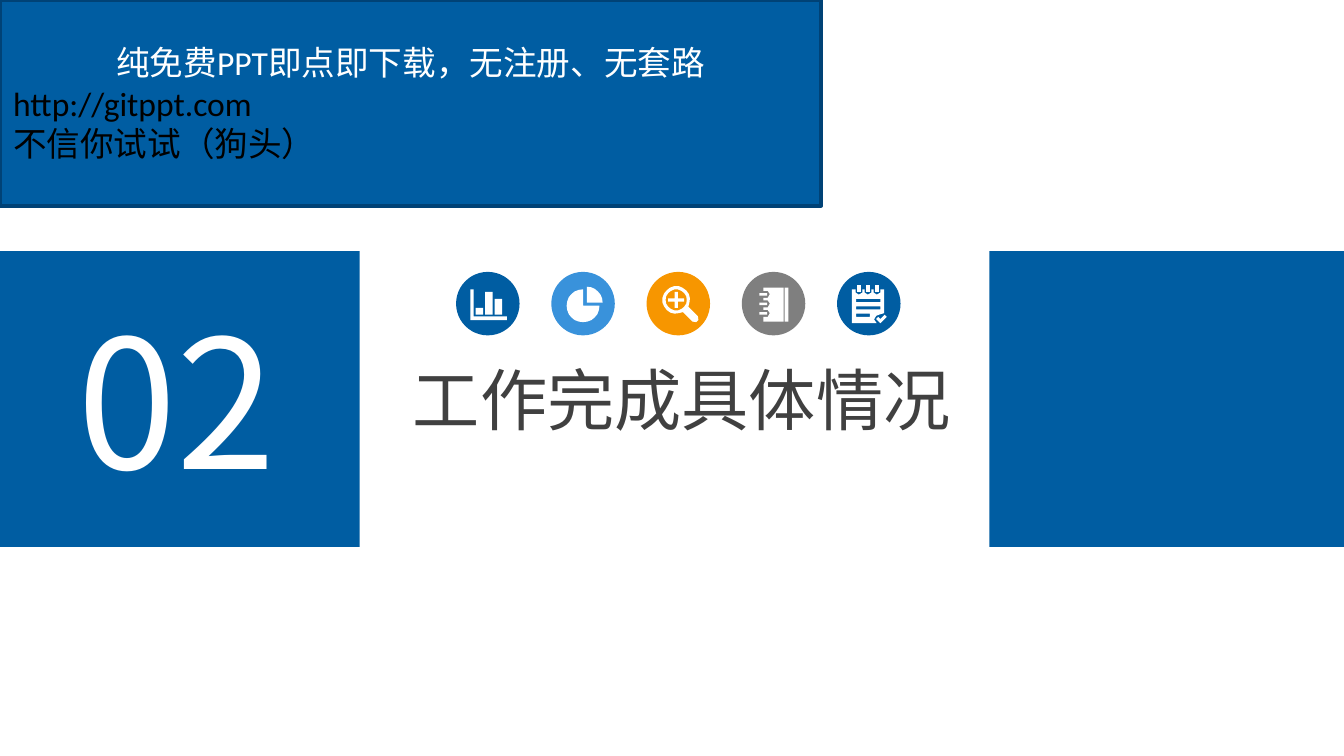
from math import cos, radians, sin

from pptx import Presentation
from pptx.dml.color import RGBColor
from pptx.enum import shapes, text
from pptx.oxml.ns import qn
from pptx.util import Cm, Pt

FONT, LATIN = "Noto Sans CJK SC", "Calibri"
BLUE, SKY, ORANGE, GREY = "005DA2", "3992DB", "F79600", "7F7F7F"
NAVY, WHITE, DARK, BLACK = "004276", "FFFFFF", "404040", "000000"
KIND = shapes.MSO_SHAPE
LEFT, CENTER = text.PP_ALIGN.LEFT, text.PP_ALIGN.CENTER


def rgb(color):
    return RGBColor.from_string(color)


def paint(shape, color):
    shape.fill.solid()
    shape.fill.fore_color.rgb = rgb(color)
    shape.line.fill.background()
    shape.shadow.inherit = False


def add_block(parent, kind, box, color):
    block = parent.add_shape(kind, *map(Cm, box))
    paint(block, color)
    return block


def style(para, size, color, align=LEFT, latin=FONT):
    para.alignment = align
    font = para.runs[0].font
    font.name, font.size = latin, Pt(size)
    font.color.rgb = rgb(color)
    east = font._element.makeelement(qn("a:ea"), {"typeface": FONT})
    font._element.find(qn("a:latin")).addnext(east)


def set_label(shape, words, size, color):
    frame = shape.text_frame
    frame.text = words
    frame.word_wrap = False
    frame.auto_size = text.MSO_AUTO_SIZE.NONE
    frame.vertical_anchor = text.MSO_ANCHOR.TOP
    frame.paragraphs[0].line_spacing = 1.0
    style(frame.paragraphs[0], size, color)


def add_banner(slide):
    banner = add_block(slide.shapes, KIND.RECTANGLE, (0, 0, 15.52, 3.89), BLUE)
    banner.line.color.rgb = rgb(NAVY)
    banner.line.width = Pt(2)
    frame = banner.text_frame
    frame.vertical_anchor = text.MSO_ANCHOR.MIDDLE
    frame.text = ("纯免费PPT即点即下载，无注册、无套路\n"
                  "http://gitppt.com\n不信你试试（狗头）")
    looks = [(WHITE, CENTER), (BLACK, LEFT), (BLACK, LEFT)]
    for para, (color, align) in zip(frame.paragraphs, looks):
        style(para, 18, color, align, LATIN)


# Icon outlines are in hundredths of a centimetre from the disc's corner.
def box(x, y, wide, high):
    return [(x, y), (x + wide, y), (x + wide, y + high), (x, y + high)]


def arc(x, y, radius, start, end, steps):
    turns = [radians(start + (end - start) * i / steps)
             for i in range(steps + 1)]
    return [(x + radius * cos(t), y + radius * sin(t)) for t in turns]


def bars():
    axes = [(27, 33), (33, 33), (33, 84), (96, 84), (96, 91), (27, 91)]
    highs = enumerate((13, 43, 30))
    return [axes] + [box(37 + i * 18, 81 - h, 14, h) for i, h in highs]


def pie():
    return [arc(60, 64, 31, 0, 270, 18) + [(60, 64)],
            arc(67, 58, 30, 270, 360, 6) + [(67, 58)]]


def lens():
    handle = [(97, 84), (98, 91), (94, 95), (87, 94)]
    plus = [(41, 50), (53, 50), (53, 38), (59, 38), (59, 50), (71, 50),
            (71, 56), (59, 56), (59, 68), (53, 68), (53, 56), (41, 56)]
    return [arc(56, 53, 26, 60, 390, 18) + handle,
            arc(56, 53, 20, 0, 360, 18), plus]


def book():
    tops = (72, 54, 36)
    cover = [(41, 30), (79, 30), (79, 94), (41, 94)]
    for top in tops:
        cover += [(41, top + 13), (49, top + 13), (53, top + 6),
                  (49, top), (41, top)]
    rings = [box(33, top + 4, 15, 5) for top in tops]
    return [cover, box(81, 30, 7, 64)] + rings


def checklist():
    lefts = (35, 52, 69)
    page = [(28, 33)]
    for x in lefts:
        page += [(x, 33), (x, 39), (x + 6, 43), (x + 13, 39), (x + 13, 33)]
    page += [(89, 33), (89, 78), (82, 80), (74, 83), (70, 90), (75, 97),
             (28, 97)]
    rings = [box(x + 3, 25, 7, 13) for x in lefts]
    lines = [box(36, 51, 46, 6), box(36, 65, 46, 6), box(36, 79, 26, 6)]
    tick = [(74, 89), (78, 85), (82, 89), (90, 81), (94, 85), (82, 97)]
    return [page, tick] + rings + lines


def add_icon(slide, x, y, color, outlines):
    """Draw a disc with one white shape; inner outlines become holes."""
    group = slide.shapes.add_group_shape().shapes
    add_block(group, KIND.OVAL, (x, y, 1.2, 1.2), color)
    loops = [[(x * 100 + a, y * 100 + b) for a, b in loop]
             for loop in outlines]
    sign = group.build_freeform(*loops[0][0], scale=Cm(.01))
    sign.add_line_segments(loops[0][1:])
    for loop in loops[1:]:
        sign.move_to(*loop[0])
        sign.add_line_segments(loop[1:])
    paint(sign.convert_to_shape(), WHITE)


def main():
    deck = Presentation()
    deck.slide_width, deck.slide_height = Cm(25.4), Cm(14.29)
    slide = deck.slides.add_slide(deck.slide_layouts[5])

    for left in (0, 18.7):
        add_block(slide.shapes, KIND.RECTANGLE, (left, 4.75, 6.8, 5.59), BLUE)

    number = slide.shapes.add_textbox(Cm(1.21), Cm(5.36), Cm(4.37), Cm(4.32))
    set_label(number, "02", 96, WHITE)

    title = slide.shapes.title
    title.left, title.top = Cm(7.55), Cm(6.65)
    title.width, title.height = Cm(10.67), Cm(1.78)
    set_label(title, "工作完成具体情况", 36, DARK)

    icons = [(bars, BLUE), (pie, SKY), (lens, ORANGE), (book, GREY),
             (checklist, BLUE)]
    for i, (draw, color) in enumerate(icons):
        add_icon(slide, 8.62 + i * 1.8, 5.14, color, draw())

    add_banner(slide)
    deck.save("out.pptx")


if __name__ == "__main__":
    main()
